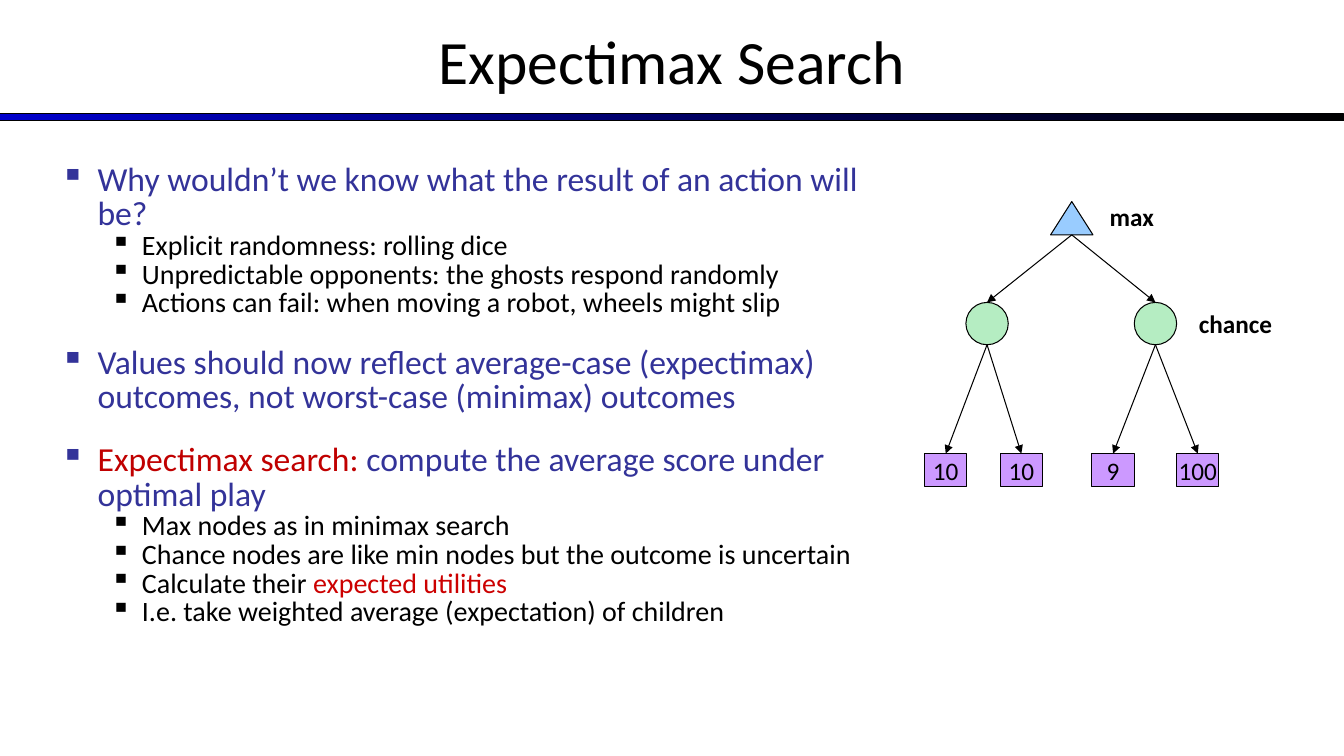
from lxml.etree import SubElement
from pptx import Presentation
from pptx.dml.color import RGBColor
from pptx.enum.shapes import MSO_CONNECTOR, MSO_SHAPE
from pptx.enum.text import MSO_ANCHOR, PP_ALIGN
from pptx.oxml.ns import qn
from pptx.util import Inches, Pt

FONT = "Calibri"
COLORS = {
    "black": "000000", "blue": "0000CC", "indigo": "333399",
    "crimson": "C00000", "red": "CC0000",
    "max": "99CCFF", "chance": "B5EDC2", "leaf": "CC99FF",
}
NODE = 0.42    # width of every tree node
HEIGHT = 0.33  # height of the triangle and the leaves

# Level, space before in points, runs of (text, color)
BULLETS = [
    (0, 0, [("Why wouldn’t we know what the result of an action will be?", "indigo")]),
    (1, 0, [("Explicit randomness: rolling dice", "black")]),
    (1, 0, [("Unpredictable opponents: the ghosts respond randomly", "black")]),
    (1, 0, [("Actions can fail: when moving a robot, wheels might slip", "black")]),
    (0, 20.5, [("Values should now reflect average-case (expectimax) outcomes, "
                "not worst-case (minimax) outcomes", "indigo")]),
    (0, 20.5, [("Expectimax search:", "crimson"),
               (" compute the average score under optimal play", "indigo")]),
    (1, 0, [("Max nodes as in minimax search", "black")]),
    (1, 0, [("Chance nodes are like min nodes but the outcome is uncertain", "black")]),
    (1, 0, [("Calculate their ", "black"), ("expected utilities", "red")]),
    (1, 0, [("I.e. take weighted average (expectation) of children", "black")]),
]
# Text size, left margin, hanging indent, bullet color
LEVELS = [(24, 0.37, 0.37, "indigo"), (20, 0.81, 0.31, "black")]

# Chance node center x, with its leaves as (center x, value)
TREE = [
    (9.79, [(9.38, "10"), (10.13, "10")]),
    (11.46, [(11.04, "9"), (11.88, "100")]),
]
MAX_X, MAX_Y, CHANCE_Y, LEAF_Y = 10.63, 2, 3, 4.5


def rgb(name):
    return RGBColor.from_string(COLORS[name])


def add_run(p, text, size, color="black", bold=False):
    r = p.add_run()
    r.text = text
    r.font.name = FONT
    r.font.size = Pt(size)
    r.font.bold = bold
    r.font.color.rgb = rgb(color)


def add_text_box(s, x, y, w, h, anchor=MSO_ANCHOR.MIDDLE):
    tf = s.shapes.add_textbox(Inches(x), Inches(y), Inches(w), Inches(h)).text_frame
    tf.word_wrap = True
    tf.vertical_anchor = anchor
    return tf


def add_label(s, text, x, y, w, h, size, bold=False):
    p = add_text_box(s, x, y, w, h).paragraphs[0]
    p.alignment = PP_ALIGN.CENTER
    add_run(p, text, size, bold=bold)


def add_bullets(s, x, y, w, h):
    tf = add_text_box(s, x, y, w, h, MSO_ANCHOR.TOP)
    for i, (level, before, runs) in enumerate(BULLETS):
        size, margin, hang, color = LEVELS[level]
        p = tf.add_paragraph() if i else tf.paragraphs[0]
        p.level = level
        p.line_spacing = 0.85
        p.space_before = Pt(before)
        pPr = p._p.get_or_add_pPr()
        pPr.set("marL", str(Inches(margin)))
        pPr.set("indent", str(-Inches(hang)))
        SubElement(SubElement(pPr, qn("a:buClr")), qn("a:srgbClr"), val=COLORS[color])
        SubElement(pPr, qn("a:buChar"), char="▪")
        for text, run_color in runs:
            add_run(p, text, size, run_color)


def add_outlined(s, kind, x, y, w, h):
    sp = s.shapes.add_shape(kind, Inches(x), Inches(y), Inches(w), Inches(h))
    sp.shadow.inherit = False
    sp.line.color.rgb = rgb("black")
    sp.line.width = Pt(0.75)
    return sp


def add_bar(s):
    sp = add_outlined(s, MSO_SHAPE.RECTANGLE, 0, 1.13, 13.33, 0.07)
    sp.fill.gradient()
    sp.fill.gradient_angle = 0
    for stop, position, color in zip(sp.fill.gradient_stops, (0, 1), ("blue", "black")):
        stop.position = position
        stop.color.rgb = rgb(color)


def add_node(s, kind, center, y, h, color, value=None):
    sp = add_outlined(s, kind, center - NODE / 2, y, NODE, h)
    sp.fill.solid()
    sp.fill.fore_color.rgb = rgb(color)
    if value:
        tf = sp.text_frame
        tf.word_wrap = False
        tf.vertical_anchor = MSO_ANCHOR.MIDDLE
        p = tf.paragraphs[0]
        p.alignment = PP_ALIGN.CENTER
        add_run(p, value, 18)


def add_arrow(s, x1, y1, x2, y2):
    c = s.shapes.add_connector(MSO_CONNECTOR.STRAIGHT, Inches(x1), Inches(y1),
                               Inches(x2), Inches(y2))
    c.line.color.rgb = rgb("black")
    c.line.width = Pt(0.75)
    SubElement(c.line._get_or_add_ln(), qn("a:tailEnd"), type="triangle")
    SubElement(c._element.spPr, qn("a:effectLst"))


def add_tree(s):
    add_node(s, MSO_SHAPE.ISOSCELES_TRIANGLE, MAX_X, MAX_Y, HEIGHT, "max")
    for chance_x, leaves in TREE:
        add_arrow(s, MAX_X, MAX_Y + HEIGHT, chance_x, CHANCE_Y)
        add_node(s, MSO_SHAPE.OVAL, chance_x, CHANCE_Y, NODE, "chance")
        for leaf_x, value in leaves:
            add_arrow(s, chance_x, CHANCE_Y + NODE, leaf_x, LEAF_Y)
            add_node(s, MSO_SHAPE.RECTANGLE, leaf_x, LEAF_Y, HEIGHT, "leaf", value)


def main():
    prs = Presentation()
    prs.slide_width, prs.slide_height = Inches(13.33), Inches(7.5)
    s = prs.slides.add_slide(prs.slide_layouts[6])

    # Heading
    add_bar(s)
    add_label(s, "Expectimax Search", 0, -0.03, 13.33, 1.25, 44)

    # Explanation
    add_bullets(s, 0.5, 1.58, 8.17, 5.33)

    # Search tree with its layer names
    add_tree(s)
    add_label(s, "max", 10.86, 1.95, 0.73, 0.4, 18, bold=True)
    add_label(s, "chance", 11.67, 3.01, 1.17, 0.4, 18, bold=True)

    prs.save("out.pptx")


if __name__ == "__main__":
    main()
